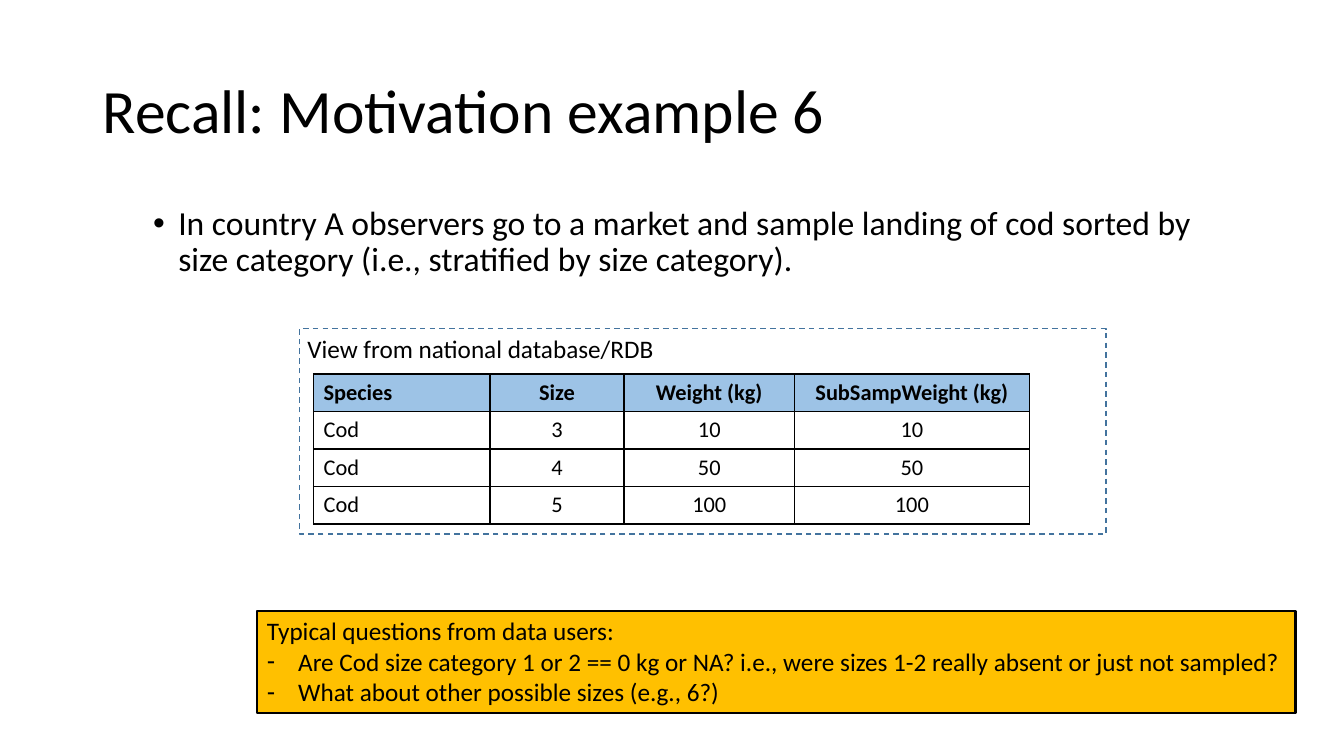
"""Builds the slide on motivation example 6 with its table and user questions."""
import pptx
import pptx.util
import pptx.dml.color
import pptx.enum.dml
import pptx.enum.shapes
import pptx.enum.text
import pptx.oxml.ns
from lxml import etree

Inches = pptx.util.Inches
Pt = pptx.util.Pt
ALIGN = pptx.enum.text.PP_ALIGN
ANCHOR = pptx.enum.text.MSO_ANCHOR
AUTO_SIZE = pptx.enum.text.MSO_AUTO_SIZE
RECTANGLE = pptx.enum.shapes.MSO_SHAPE.RECTANGLE

FONT = "Calibri"
COLORS = {"text": "000000", "header": "9DC3E6", "note": "FFC000", "frame": "43739E"}

TITLE = "Recall: Motivation example 6"
BODY = ("In country A observers go to a market and sample landing of cod sorted by "
        "size category (i.e., stratified by size category).")
CAPTION = "View from national database/RDB"
QUESTIONS_HEAD = "Typical questions from data users:"
QUESTIONS = [
    "Are Cod size category 1 or 2 == 0 kg or NA? i.e., were sizes 1-2 really absent or just not sampled?",
    "What about other possible sizes (e.g., 6?)",
]
ROWS = [
    ("Species", "Size", "Weight (kg)", "SubSampWeight (kg)"),
    ("Cod", "3", "10", "10"),
    ("Cod", "4", "50", "50"),
    ("Cod", "5", "100", "100"),
]
COLUMN_WIDTHS = [1.75, 1.33, 1.69, 2.33]
ROW_HEIGHT = 0.37


def color(name):
    return pptx.dml.color.RGBColor.from_string(COLORS[name])


def add_child(parent, tag, **attributes):
    return etree.SubElement(parent, pptx.oxml.ns.qn(tag), **attributes)


def write(frame, text, size=18, bold=False, align=ALIGN.LEFT, bullet=None,
          margin=0, hanging=0, line_spacing=None, first=True):
    para = frame.paragraphs[0] if first else frame.add_paragraph()
    if bullet:
        properties = para._p.get_or_add_pPr()
        properties.set("marL", str(Inches(margin)))
        properties.set("indent", str(-Inches(hanging)))
        add_child(properties, "a:buFont", typeface="Arial")
        add_child(properties, "a:buChar", char=bullet)
    para.alignment = align
    if line_spacing:
        para.line_spacing = line_spacing
    span = para.add_run()
    span.text = text
    span.font.name = FONT
    span.font.size = Pt(size)
    span.font.bold = bold
    span.font.color.rgb = color("text")


def add_text_box(page, place, anchor=ANCHOR.TOP, auto_size=AUTO_SIZE.NONE):
    frame = page.shapes.add_textbox(*map(Inches, place)).text_frame
    frame.word_wrap = True
    frame.auto_size = auto_size
    frame.vertical_anchor = anchor
    return frame


def add_rectangle(page, place, line, width):
    box = page.shapes.add_shape(RECTANGLE, *map(Inches, place))
    box.shadow.inherit = False
    box.fill.background()
    box.line.color.rgb = color(line)
    box.line.width = Pt(width)
    return box


def add_borders(cell):
    properties = cell._tc.get_or_add_tcPr()
    for side in ("a:lnL", "a:lnR", "a:lnT", "a:lnB"):
        line = add_child(properties, side, w=str(Pt(1)))
        add_child(add_child(line, "a:solidFill"), "a:srgbClr", val=COLORS["text"])


def add_data_table(page, left, top):
    table = page.shapes.add_table(
        len(ROWS), len(COLUMN_WIDTHS), Inches(left), Inches(top),
        Inches(sum(COLUMN_WIDTHS)), Inches(ROW_HEIGHT * len(ROWS))).table
    table.first_row = False
    table.horz_banding = False
    for column, width in zip(table.columns, COLUMN_WIDTHS):
        column.width = Inches(width)
    for row_index, values in enumerate(ROWS):
        table.rows[row_index].height = Inches(ROW_HEIGHT)
        for column_index, value in enumerate(values):
            cell = table.cell(row_index, column_index)
            add_borders(cell)
            if row_index == 0:
                cell.fill.solid()
                cell.fill.fore_color.rgb = color("header")
            else:
                cell.fill.background()
            write(cell.text_frame, value, size=16, bold=row_index == 0,
                  align=ALIGN.CENTER if column_index else ALIGN.LEFT)


def add_questions(page, place):
    box = add_rectangle(page, place, "text", 1.5)
    box.fill.solid()
    box.fill.fore_color.rgb = color("note")
    frame = box.text_frame
    frame.word_wrap = False
    frame.auto_size = AUTO_SIZE.SHAPE_TO_FIT_TEXT
    frame.vertical_anchor = ANCHOR.TOP
    write(frame, QUESTIONS_HEAD)
    for question in QUESTIONS:
        write(frame, question, bullet="-", margin=0.31, hanging=0.31, first=False)


def main():
    deck = pptx.Presentation()
    deck.slide_width = Inches(13.33)
    deck.slide_height = Inches(7.5)
    page = deck.slides.add_slide(deck.slide_layouts[6])

    title = add_text_box(page, (0.92, 0.4, 11.5, 1.45), anchor=ANCHOR.MIDDLE)
    write(title, TITLE, size=44, line_spacing=0.9)
    body = add_text_box(page, (0.92, 2, 11.5, 4.76))
    write(body, BODY, size=24, bullet="•", margin=0.75, hanging=0.25, line_spacing=0.9)

    add_data_table(page, 3.11, 3.71)
    add_questions(page, (2.55, 6.06, 10.3, 1.01))
    caption = add_text_box(page, (2.95, 3.26, 8.15, 0.4),
                           auto_size=AUTO_SIZE.SHAPE_TO_FIT_TEXT)
    write(caption, CAPTION)
    frame = add_rectangle(page, (2.97, 3.26, 8, 2.04), "frame", 1)
    frame.line.dash_style = pptx.enum.dml.MSO_LINE.DASH

    deck.save("out.pptx")


if __name__ == "__main__":
    main()
